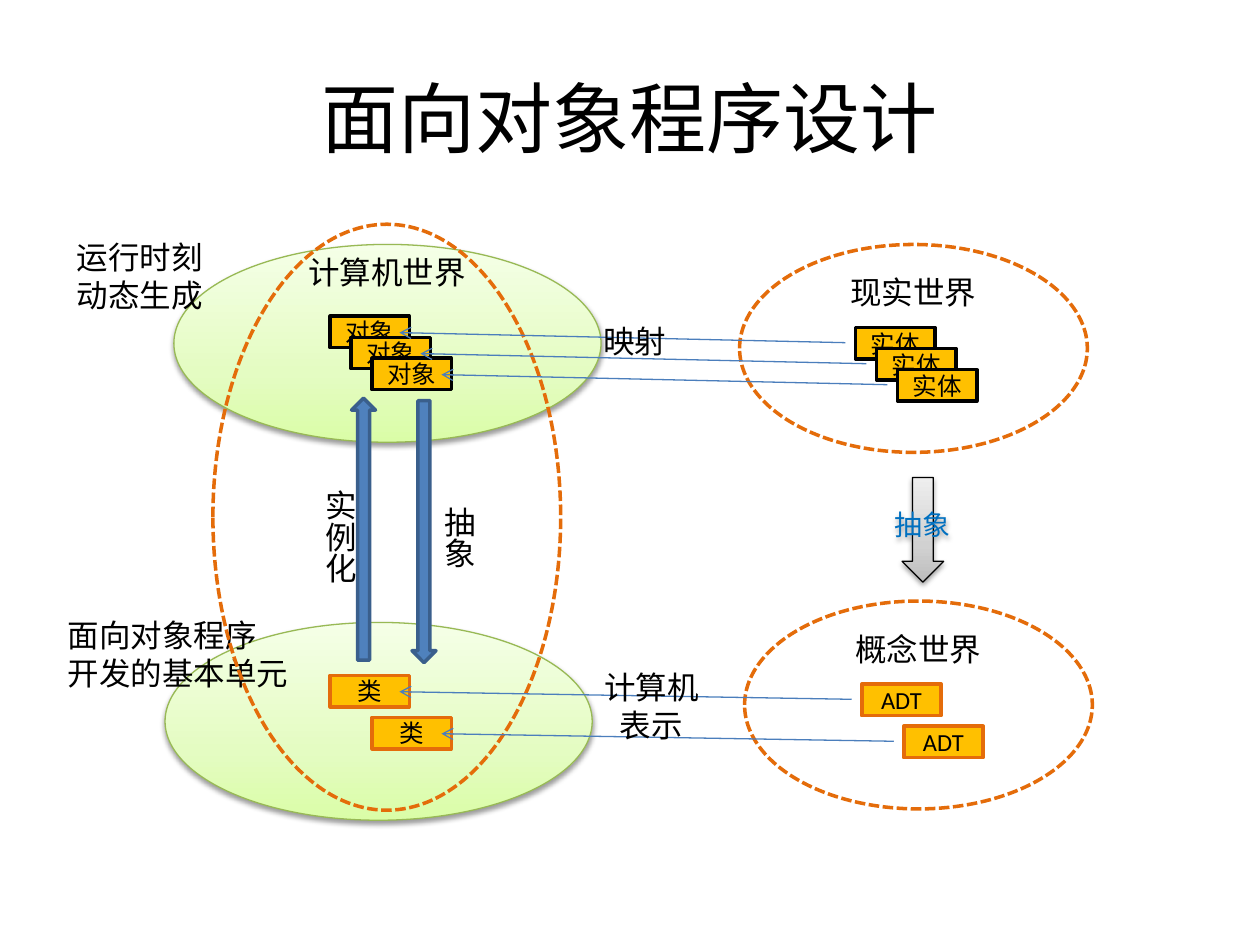
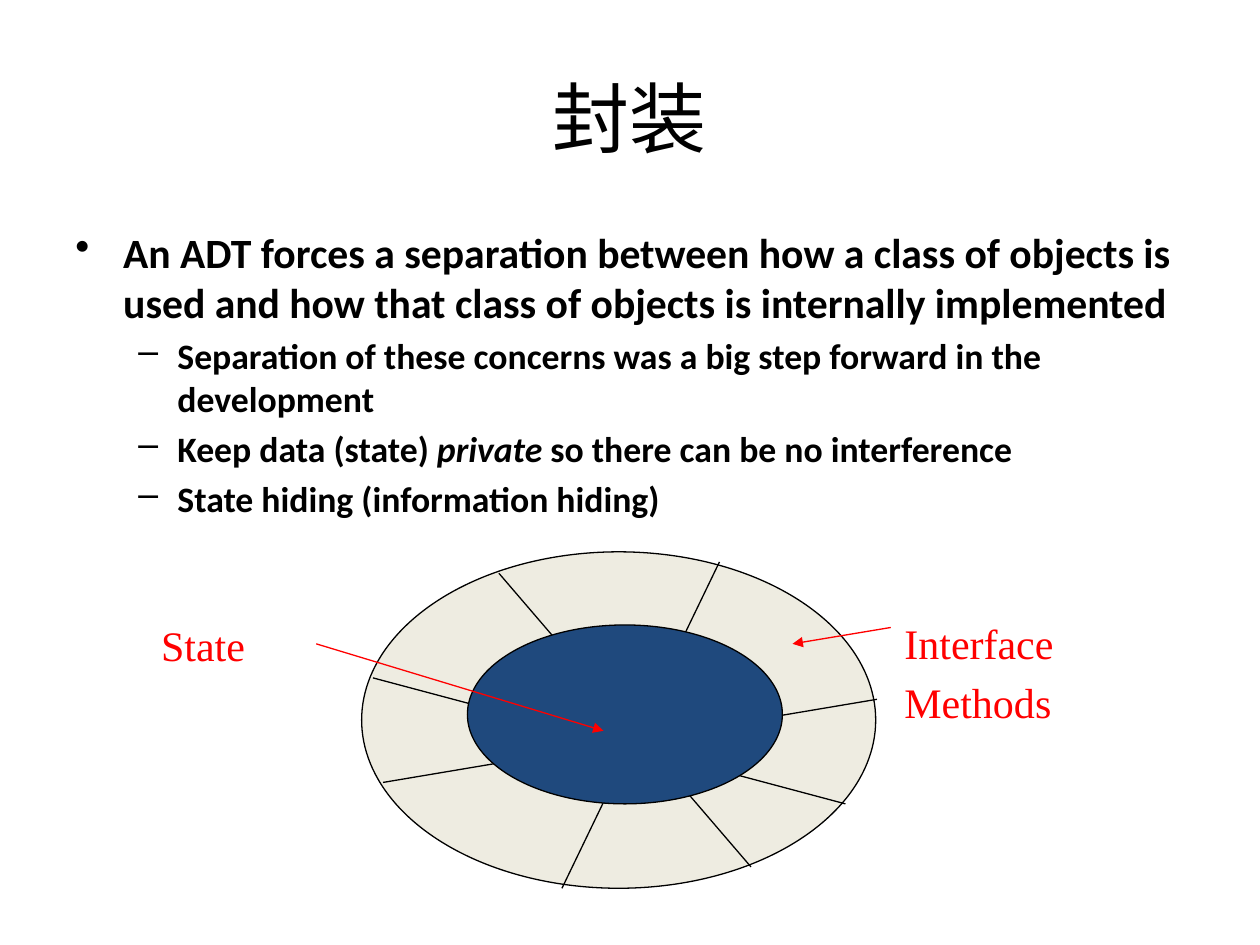
from lxml import etree
from pptx import Presentation
from pptx.dml.color import RGBColor
from pptx.enum.dml import MSO_LINE_DASH_STYLE as DASH
from pptx.enum.shapes import MSO_CONNECTOR, MSO_SHAPE as SHAPE
from pptx.enum.text import MSO_ANCHOR as ANCHOR, PP_ALIGN as ALIGN
from pptx.oxml.ns import qn
from pptx.util import Inches, Pt

BLACK = RGBColor(0x00, 0x00, 0x00)
ORANGE = RGBColor(0xE4, 0x6C, 0x0A)
AMBER = RGBColor(0xFF, 0xC0, 0x00)
GREEN = RGBColor(0x98, 0xB9, 0x55)
BLUE = RGBColor(0x4F, 0x81, 0xBD)
DARK_BLUE = RGBColor(0x3A, 0x5F, 0x8C)
LINK_BLUE = RGBColor(0x4B, 0x7E, 0xBC)
LABEL_BLUE = RGBColor(0x00, 0x70, 0xC0)
NAVY = RGBColor(0x1F, 0x49, 0x7D)
CREAM = RGBColor(0xEE, 0xEC, 0xE1)
RED = RGBColor(0xFF, 0x00, 0x00)
GREENS = (RGBColor(0xDA, 0xFD, 0xA7), RGBColor(0xE4, 0xFC, 0xC2), RGBColor(0xF5, 0xFF, 0xE7))
GREYS = (RGBColor(0xBD, 0xBD, 0xBD), RGBColor(0xD1, 0xD1, 0xD1), RGBColor(0xEE, 0xEE, 0xEE))

CARD_W, CARD_H = 0.63, 0.25
CARD_STEP = 1 / 6


def add_run(p, text, size=18, font="Calibri", color=BLACK, bold=False, italic=False):
    """Append a formatted run to a paragraph."""
    r = p.add_run()
    r.text = text
    r.font.size, r.font.name = Pt(size), font
    r.font.bold, r.font.italic = bold, italic
    r.font.color.rgb = color


def write(tf, text, align=ALIGN.LEFT, anchor=ANCHOR.TOP, wrap=True, space=0, **fmt):
    """Fill a text frame, one paragraph for each line of text."""
    tf.word_wrap, tf.vertical_anchor = wrap, anchor
    for i, line in enumerate(text.split("\n")):
        p = tf.add_paragraph() if i else tf.paragraphs[0]
        p.alignment = align
        if i and space:
            p.space_before = Pt(space)
        add_run(p, line, **fmt)


def add_text(s, x, y, w, h, text, vertical=False, **fmt):
    """Add a text box, optionally with vertical East Asian text."""
    tf = s.shapes.add_textbox(Inches(x), Inches(y), Inches(w), Inches(h)).text_frame
    write(tf, text, **fmt)
    if vertical:
        tf._txBody.bodyPr.set("vert", "eaVert")


def add_shape(s, kind, x, y, w, h, fill=None, line=BLACK, width=0.75):
    """Add a preset shape without a shadow."""
    sp = s.shapes.add_shape(kind, Inches(x), Inches(y), Inches(w), Inches(h))
    sp.shadow.inherit = False
    if fill is None:
        sp.fill.background()
    else:
        sp.fill.solid()
        sp.fill.fore_color.rgb = fill
    sp.line.color.rgb = line
    sp.line.width = Pt(width)
    return sp


def add_glossy(s, kind, x, y, w, h, colors, line):
    """Add a shape with an upward three-colour gradient and a soft shadow."""
    sp = add_shape(s, kind, x, y, w, h, line=line)
    sp.fill.gradient()
    sp.fill.gradient_angle = 90
    spPr = sp._element.spPr
    stops = spPr.find(qn("a:gradFill")).find(qn("a:gsLst"))
    for old in list(stops):
        stops.remove(old)
    for pos, color in zip((0, 35, 100), colors):
        gs = etree.SubElement(stops, qn("a:gs"), pos=str(pos * 1000))
        etree.SubElement(gs, qn("a:srgbClr"), val=str(color))
    shadow = etree.SubElement(spPr.find(qn("a:effectLst")), qn("a:outerShdw"),
                              blurRad=str(Pt(3.1)), dist=str(Pt(1.6)),
                              dir="5400000", rotWithShape="0")
    black = etree.SubElement(shadow, qn("a:srgbClr"), val=str(BLACK))
    etree.SubElement(black, qn("a:alpha"), val="38000")
    return sp


def add_line(s, x1, y1, x2, y2, color=BLACK, head=None):
    """Draw a thin straight line, with an arrowhead at its end if asked."""
    c = s.shapes.add_connector(MSO_CONNECTOR.STRAIGHT, Inches(x1), Inches(y1),
                               Inches(x2), Inches(y2))
    c.line.color.rgb = color
    c.line.width = Pt(0.75)
    etree.SubElement(c._element.spPr, qn("a:effectLst"))
    if head:
        etree.SubElement(c.line._get_or_add_ln(), qn("a:tailEnd"), type=head)


def add_title(s, text):
    """Add the centred slide title."""
    add_text(s, 0.5, 0.3, 9, 1.25, text, size=44, align=ALIGN.CENTER, anchor=ANCHOR.MIDDLE)


def stair(x, y, count, stride=1):
    """Return the corners of cards that step down to the right."""
    step = CARD_STEP * stride
    return [(x + i * step, y + i * step) for i in range(count)]


def add_cards(s, corners, text, line):
    """Add one small labelled card at each corner."""
    for x, y in corners:
        card = add_shape(s, SHAPE.RECTANGLE, x, y, CARD_W, CARD_H, AMBER, line, 2)
        write(card.text_frame, text, size=14, align=ALIGN.CENTER, anchor=ANCHOR.MIDDLE)


def add_world(s, x, y, w, h, caption):
    """Add a dashed ellipse with a caption near its top."""
    add_shape(s, SHAPE.OVAL, x, y, w, h, line=ORANGE, width=2).line.dash_style = DASH.SQUARE_DOT
    add_text(s, x, y + 0.18, w, 0.4, caption, align=ALIGN.CENTER)


def add_stage(s, x, y, note_w, note):
    """Add a green ellipse with a note overlapping its upper left."""
    add_glossy(s, SHAPE.OVAL, x, y, 3.39, 1.57, GREENS, GREEN)
    add_text(s, x - 0.87, y - 0.1, note_w, 0.71, note, wrap=False)


def link_cards(s, sources, targets):
    """Draw an arrow from each source card to its target card."""
    for (x1, y1), (x2, y2) in zip(sources, targets):
        add_line(s, x1 - 0.08, y1 + 0.12, x2 + 0.55, y2 + 0.13, LINK_BLUE, "arrow")


def add_process(s, kind, x, y, label, label_x, label_y, label_h):
    """Add a tall block arrow and its vertical label, placed from the arrow."""
    add_shape(s, kind, x, y, 0.19, 2.08, BLUE, DARK_BLUE, 2)
    add_text(s, x + label_x, y + label_y, 0.5, label_h, label, vertical=True, wrap=False)


def build_worlds(s):
    """Build the slide that maps the real world onto the computer world."""
    objects, entities = stair(2.62, 2.51, 3), stair(6.79, 2.6, 3)
    classes, adts = stair(2.62, 5.36, 2, 2), stair(6.84, 5.43, 2, 2)

    add_stage(s, 1.31, 4.94, 1.97, "面向对象程序\n开发的基本单元")
    add_stage(s, 1.38, 1.94, 1.21, "运行时刻\n动态生成")
    add_title(s, "面向对象程序设计")
    add_world(s, 5.87, 1.94, 2.76, 1.65, "现实世界")
    add_cards(s, entities, "实体", BLACK)
    add_world(s, 5.91, 4.77, 2.76, 1.65, "概念世界")
    add_cards(s, adts, "ADT", ORANGE)
    add_world(s, 1.69, 1.78, 2.76, 4.65, "计算机世界")
    add_cards(s, objects, "对象", BLACK)
    add_cards(s, classes, "类", ORANGE)

    abstraction = add_glossy(s, SHAPE.DOWN_ARROW, 7.16, 3.79, 0.33, 0.83, GREYS, BLACK)
    write(abstraction.text_frame, "抽象", size=16, color=LABEL_BLUE, wrap=False,
          align=ALIGN.CENTER, anchor=ANCHOR.MIDDLE)
    add_process(s, SHAPE.UP_ARROW, 2.79, 3.16, "实例化", -0.39, 0.63, 0.86)
    add_process(s, SHAPE.DOWN_ARROW, 3.27, 3.18, "抽象", 0.07, 0.74, 0.61)

    link_cards(s, entities, objects)
    add_text(s, 4.69, 2.51, 0.71, 0.4, "映射", wrap=False)
    link_cards(s, adts, classes)
    add_text(s, 4.69, 5.25, 0.96, 0.71, "计算机\n表示", wrap=False, align=ALIGN.CENTER)


def add_bullets(s, x, y, w, h, items):
    """Add bold bullets from (level, runs), where odd runs are italic."""
    tf = s.shapes.add_textbox(Inches(x), Inches(y), Inches(w), Inches(h)).text_frame
    tf.word_wrap = True
    styles = ((0.38, -0.38, "•", 23.8), (0.81, -0.31, "–", 20.4))
    for i, (level, runs) in enumerate(items):
        margin, indent, mark, size = styles[level]
        p = tf.add_paragraph() if i else tf.paragraphs[0]
        pPr = p._p.get_or_add_pPr()
        pPr.set("marL", str(Inches(margin)))
        pPr.set("indent", str(Inches(indent)))
        etree.SubElement(pPr, qn("a:buChar"), char=mark)
        p.level = level
        if i:
            p.space_before = Pt(round(size * 0.2, 1))
        for j, text in enumerate(runs):
            add_run(p, text, size=size, bold=True, italic=j % 2 == 1)


def add_capsule(s, x, y):
    """Add the state core inside its segmented ring of methods."""
    add_shape(s, SHAPE.OVAL, x, y, 4.08, 2.67, CREAM)
    for x1, y1, x2, y2 in ((1.09, 0.17, 3.09, 2.5), (0.17, 1.83, 4.09, 1.17),
                           (2.84, 0.08, 1.59, 2.67), (0.09, 1, 3.84, 2)):
        add_line(s, x + x1, y + y1, x + x2, y + y2)
    add_shape(s, SHAPE.OVAL, x + 0.84, y + 0.58, 2.5, 1.42, NAVY)
    label = dict(size=24, font="Times New Roman", color=RED, space=4.8)
    add_text(s, x - 1.69, y + 0.49, 1.45, 0.5, "State", **label)
    add_line(s, x - 0.36, y + 0.73, x + 1.92, y + 1.42, RED, "triangle")
    add_text(s, x + 4.21, y + 0.47, 2.54, 0.73, "Interface\nMethods", **label)
    add_line(s, x + 4.2, y + 0.6, x + 3.42, y + 0.73, RED, "triangle")


def build_encapsulation(s):
    """Build the slide on encapsulation."""
    add_title(s, "封装")
    add_bullets(s, 0.5, 1.75, 9, 2.47, [
        (0, ["An ADT forces a separation between how a class of objects is used "
             "and how that class of objects is internally implemented"]),
        (1, ["Separation of these concerns was a big step forward in the development"]),
        (1, ["Keep data (state) ", "private", " so there can be no interference"]),
        (1, ["State hiding (information hiding)"]),
    ])
    add_capsule(s, 2.87, 4.38)


def main():
    """Build and save the two slides."""
    prs = Presentation()
    prs.slide_width, prs.slide_height = Inches(10), Inches(7.5)
    for build in (build_worlds, build_encapsulation):
        build(prs.slides.add_slide(prs.slide_layouts[6]))
    prs.save("out.pptx")


if __name__ == "__main__":
    main()
